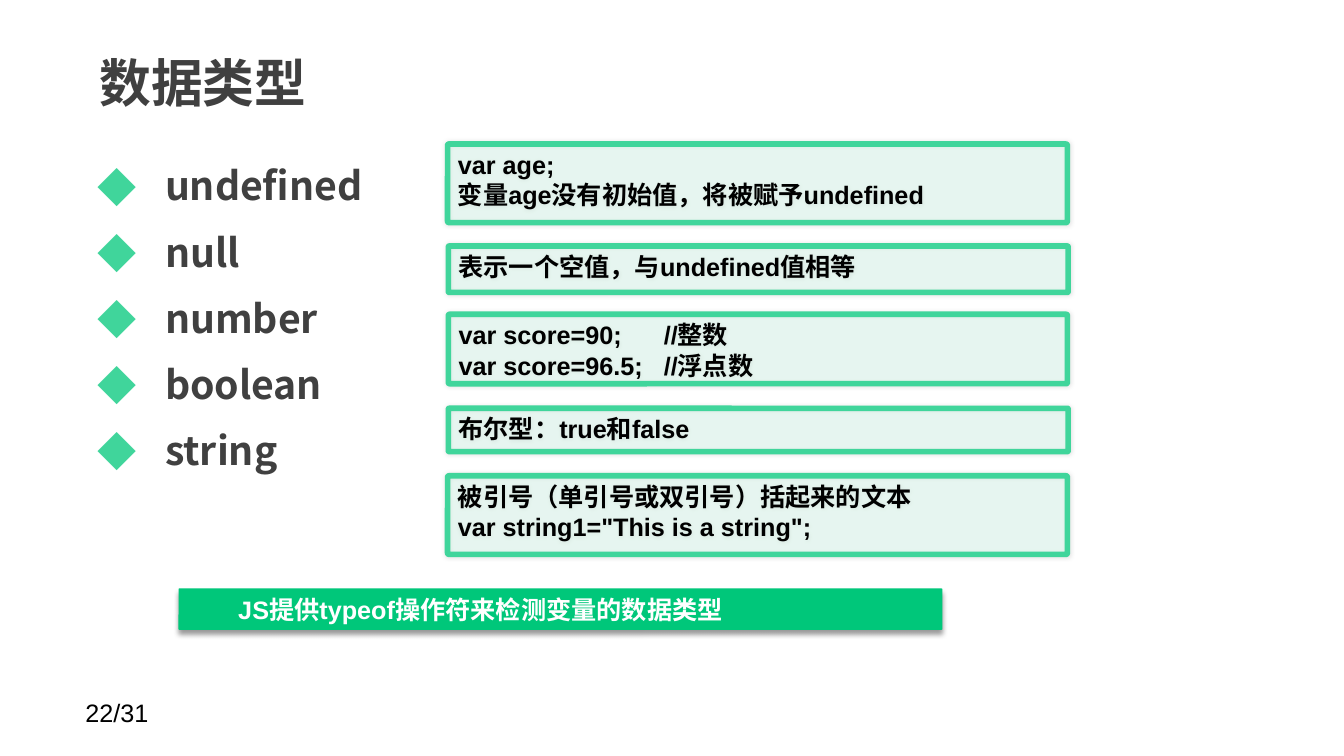
from dataclasses import dataclass

from lxml.etree import SubElement
from pptx import Presentation
from pptx.dml.color import RGBColor
from pptx.enum.shapes import MSO_SHAPE
from pptx.enum.text import MSO_ANCHOR, PP_ALIGN
from pptx.oxml.ns import qn
from pptx.util import Cm, Pt

CJK = "Noto Sans CJK SC"
GREEN, GREY, BLACK = "40D59B", "404040", "000000"
TAB_STOP = 5.17


@dataclass
class Note:
    left: float
    top: float
    width: float
    height: float
    lines: tuple[str, ...]


@dataclass
class Shadow:
    alpha: int
    blur: float
    distance: float
    angle: int


TYPES = ("undefined", "null", "number", "boolean", "string")
NOTES = (
    Note(11.28, 3.63, 15.62, 1.98, ("var age;", "变量age没有初始值，将被赋予undefined")),
    Note(11.3, 6.2, 15.62, 1.17, ("表示一个空值，与undefined值相等",)),
    Note(11.3, 7.92, 15.6, 1.75, ("var score=90;\t//整数", "var score=96.5;\t//浮点数")),
    Note(11.3, 10.29, 15.62, 1.09, ("布尔型：true和false",)),
    Note(11.28, 11.99, 15.62, 1.98,
         ("被引号（单引号或双引号）括起来的文本", 'var string1="This is a string";')),
)
BANNER = Note(4.5, 14.83, 19.25, 1.04, ("JS提供typeof操作符来检测变量的数据类型",))
SOFT_GLOW = Shadow(10, 3, 0, 0)
DROP = Shadow(40, 4, 3, 90)


def rgb(value: str) -> RGBColor:
    return RGBColor.from_string(value)


def add_run(p, text: str, size: float, color: str, font: str, bold: bool = True) -> None:
    r = p.add_run()
    r.text = text
    r.font.size, r.font.bold, r.font.name = Pt(size), bold, font
    r.font.color.rgb = rgb(color)
    SubElement(r._r.get_or_add_rPr(), qn("a:ea"), typeface=CJK)


def paragraphs(tf, count: int) -> list:
    return [tf.paragraphs[0]] + [tf.add_paragraph() for _ in range(count - 1)]


def add_text_frame(s, left: float, top: float, width: float, height: float):
    tf = s.shapes.add_textbox(Cm(left), Cm(top), Cm(width), Cm(height)).text_frame
    tf.word_wrap = True
    return tf


def set_wide_margins(tf) -> None:
    tf.margin_left = tf.margin_right = Cm(0.33)
    tf.margin_top = tf.margin_bottom = Cm(0.16)


def set_bullet(p) -> None:
    pPr = p._p.get_or_add_pPr()
    pPr.set("marL", str(Cm(1.7)))
    pPr.set("indent", str(-Cm(1.7)))
    SubElement(SubElement(pPr, qn("a:buClr")), qn("a:srgbClr"), val=GREEN)
    SubElement(pPr, qn("a:buFont"), typeface=CJK)
    SubElement(pPr, qn("a:buChar"), char="◆")


def set_tab_stop(p) -> None:
    tabs = SubElement(p._p.get_or_add_pPr(), qn("a:tabLst"))
    SubElement(tabs, qn("a:tab"), pos=str(Cm(TAB_STOP)), algn="l")


def add_alpha(color, percent: int) -> None:
    SubElement(color, qn("a:alpha"), val=str(percent * 1000))


def add_shadow(sp, shadow: Shadow) -> None:
    sp.shadow.inherit = False
    effects = sp._element.spPr.find(qn("a:effectLst"))
    outer = SubElement(effects, qn("a:outerShdw"), blurRad=str(Pt(shadow.blur)),
                       dist=str(Pt(shadow.distance)), dir=str(shadow.angle * 60000),
                       rotWithShape="0")
    add_alpha(SubElement(outer, qn("a:srgbClr"), val=BLACK), shadow.alpha)


def add_panel(s, note: Note, fill: str, text_color: str, shadow: Shadow):
    sp = s.shapes.add_shape(MSO_SHAPE.ROUNDED_RECTANGLE, Cm(note.left), Cm(note.top),
                            Cm(note.width), Cm(note.height))
    sp.adjustments[0] = 0.018
    sp.fill.solid()
    sp.fill.fore_color.rgb = rgb(fill)
    sp.line.fill.background()
    add_shadow(sp, shadow)
    tf = sp.text_frame
    tf.word_wrap = True
    tf.vertical_anchor = MSO_ANCHOR.TOP
    for p, line in zip(paragraphs(tf, len(note.lines)), note.lines):
        p.alignment = PP_ALIGN.LEFT
        if "\t" in line:
            set_tab_stop(p)
        add_run(p, line, 18, text_color, "Arial")
    return sp


def add_note(s, note: Note) -> None:
    sp = add_panel(s, note, "A6EBD1", BLACK, SOFT_GLOW)
    add_alpha(sp._element.spPr.find(f"{qn('a:solidFill')}/{qn('a:srgbClr')}"), 22)
    sp.line.color.rgb = rgb(GREEN)
    sp.line.width = Pt(4)


def add_banner(s) -> None:
    tf = add_panel(s, BANNER, "00C77A", "FFFFFF", DROP).text_frame
    tf.vertical_anchor = MSO_ANCHOR.MIDDLE
    tf.margin_left = Cm(1.5)


def add_title(s) -> None:
    tf = add_text_frame(s, 2.18, 0.76, 26.44, 2.62)
    set_wide_margins(tf)
    tf.vertical_anchor = MSO_ANCHOR.MIDDLE
    add_run(tf.paragraphs[0], "数据类型", 37, GREY, CJK)


def add_type_list(s) -> None:
    tf = add_text_frame(s, 2.13, 3.63, 29.69, 13.39)
    set_wide_margins(tf)
    for p, name in zip(paragraphs(tf, len(TYPES)), TYPES):
        p.line_spacing = 1.24
        p.space_before = Pt(5.6)
        set_bullet(p)
        add_run(p, name, 28, GREY, CJK)


def main() -> None:
    prs = Presentation()
    prs.slide_width, prs.slide_height = Cm(33.87), Cm(19.05)
    s = prs.slides.add_slide(prs.slide_layouts[6])
    page = add_text_frame(s, 1.9, 17.45, 5.92, 1.02)
    add_run(page.paragraphs[0], "22/31", 18, BLACK, "Arial", bold=False)
    add_title(s)
    add_type_list(s)
    for note in NOTES:
        add_note(s, note)
    add_banner(s)
    prs.save("out.pptx")


if __name__ == "__main__":
    main()
